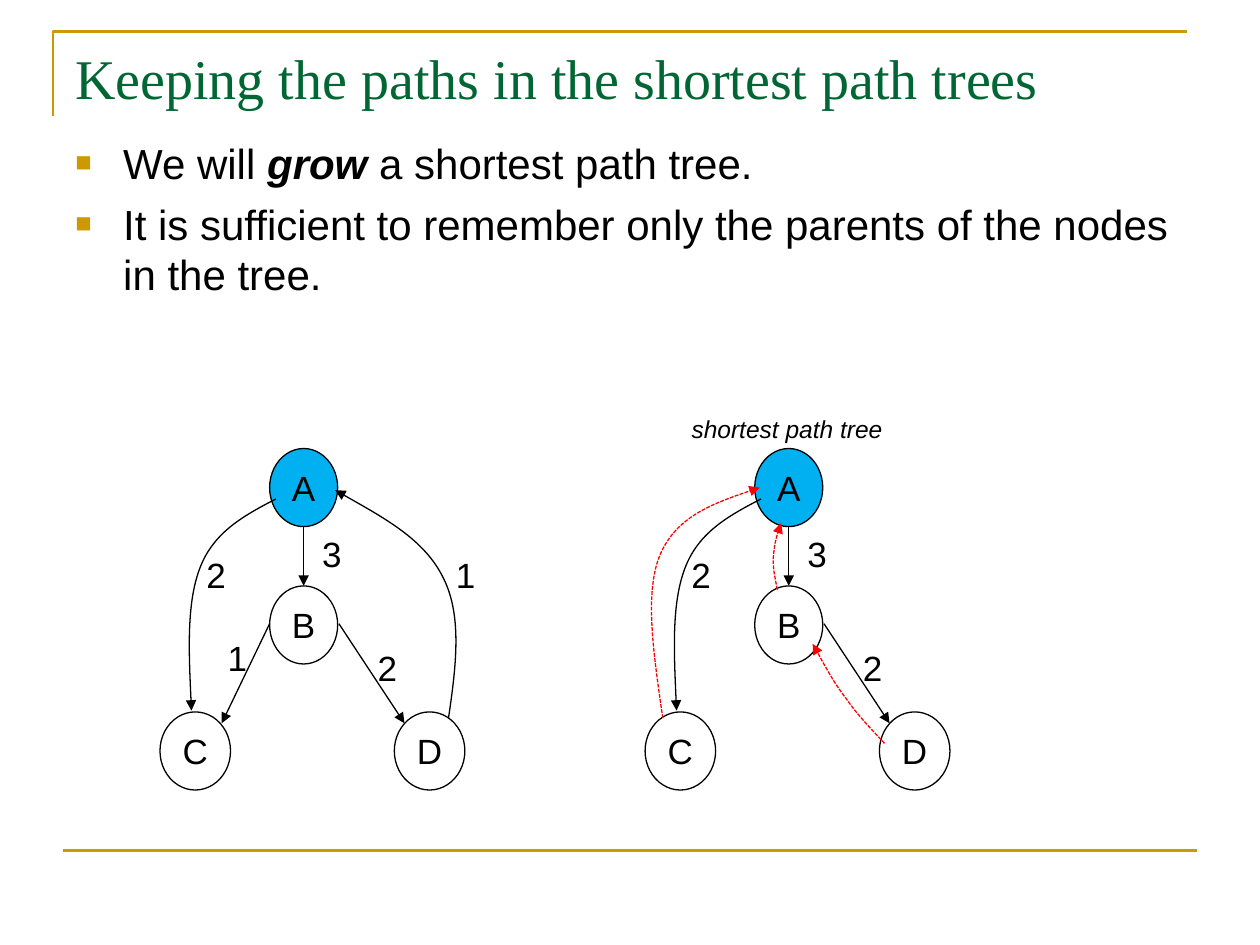
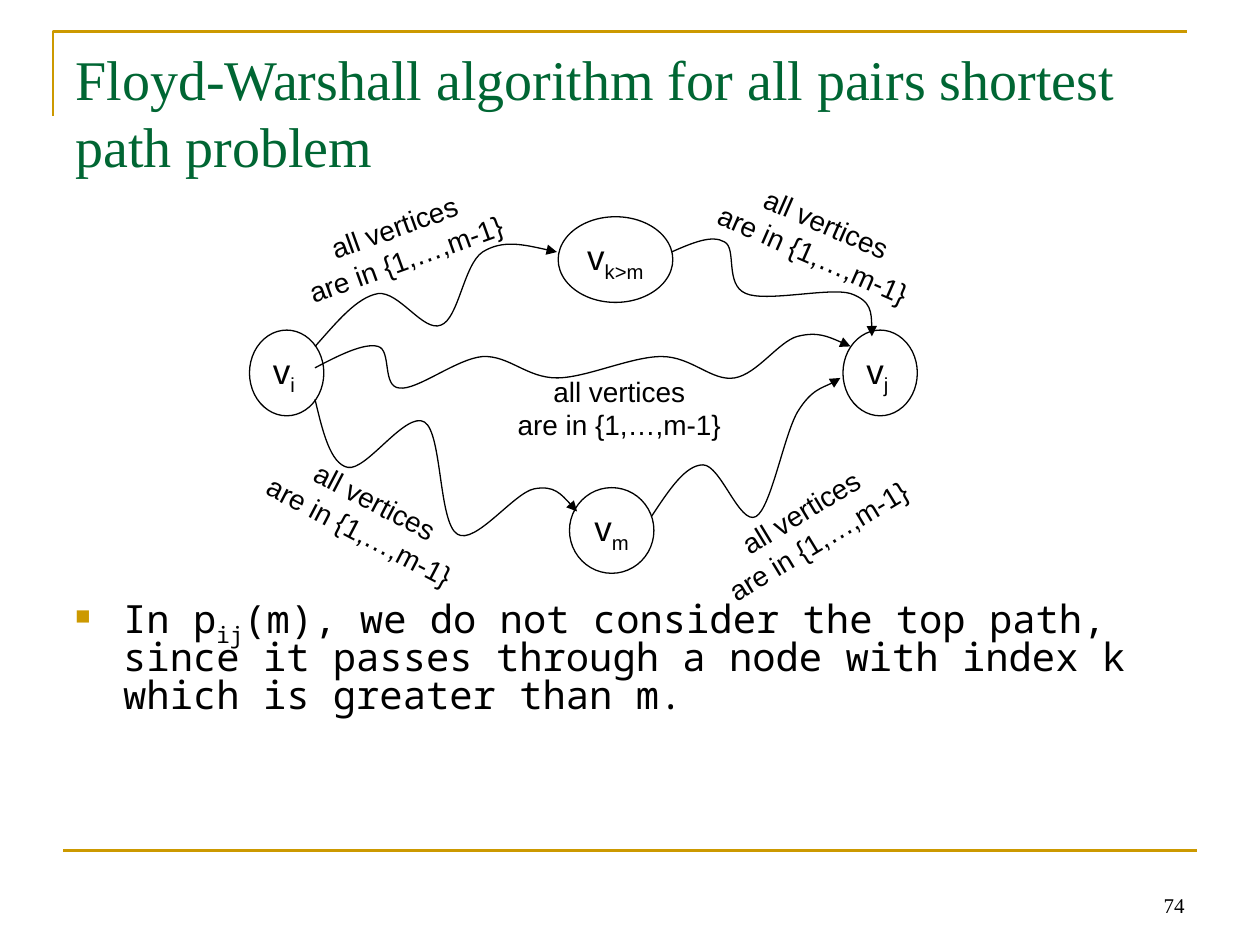
"""Build two slides on shortest path trees and the Floyd-Warshall algorithm."""
from dataclasses import dataclass
from typing import Optional

from lxml import etree
from pptx import Presentation
from pptx import util as u
from pptx.dml.color import RGBColor
from pptx.enum import dml, shapes, text
from pptx.oxml import ns

PX = 9144
GOLD = RGBColor(0xCC, 0x99, 0x00)
GREEN = RGBColor(0x00, 0x66, 0x33)
BLUE = RGBColor(0x00, 0xB0, 0xF0)
RED = RGBColor(0xFF, 0x00, 0x00)
BLACK = RGBColor(0x00, 0x00, 0x00)
WHITE = RGBColor(0xFF, 0xFF, 0xFF)
SANS, SERIF, MONO = "Arial", "Times New Roman", "Noto Sans Mono"
THIN, THICK = 0.75, 1.5
SHIFT = 385

Point = tuple[int, int]
Box = tuple[int, int, int, int]


@dataclass(frozen=True)
class Run:
    text: str
    bold: bool = False
    slant: bool = False
    sub: bool = False


@dataclass(frozen=True)
class Style:
    size: float
    font: str = SANS
    color: RGBColor = BLACK
    align: text.PP_ALIGN = text.PP_ALIGN.CENTER
    anchor: text.MSO_ANCHOR = text.MSO_ANCHOR.TOP
    wrap: bool = False
    lead: Optional[float] = None
    bullet: bool = False


@dataclass(frozen=True)
class Node:
    box: Box
    runs: list[Run]
    fill: Optional[RGBColor] = None


@dataclass(frozen=True)
class Label:
    box: Box
    lines: list[str]
    turn: float = 0


@dataclass(frozen=True)
class Curve:
    points: list[Point]
    color: RGBColor = BLACK
    dash: bool = False


LEFT = text.PP_ALIGN.LEFT
TITLE = Style(32, SERIF, GREEN, LEFT, wrap=True)
BODY = Style(24, align=LEFT, wrap=True, bullet=True)
CODE = Style(22.2, MONO, align=LEFT, wrap=True, lead=0.8, bullet=True)
NODE = Style(20, anchor=text.MSO_ANCHOR.MIDDLE)
COST = Style(20)
NOTE = Style(16)
HEAD = Style(14, align=LEFT)
PAGE = Style(12, SERIF, align=text.PP_ALIGN.RIGHT, anchor=text.MSO_ANCHOR.BOTTOM, wrap=True)

TREE = [
    Node((214, 356, 54, 62), [Run("A")], BLUE),
    Node((214, 465, 54, 62), [Run("B")]),
    Node((127, 565, 56, 62), [Run("C")]),
    Node((313, 565, 56, 62), [Run("D")]),
]
COSTS = [
    Label((246, 418, 35, 44), ["3"]),
    Label((154, 434, 35, 44), ["2"]),
    Label((290, 508, 35, 44), ["2"]),
]
MORE = [
    Label((171, 500, 35, 44), ["1"]),
    Label((352, 434, 35, 44), ["1"]),
]
DOWN = Curve([(219, 396), (194, 409), (170, 422), (159, 450), (148, 478), (150, 521), (152, 564)])
BACK = Curve([(356, 570), (362, 529), (367, 489), (352, 459), (337, 428), (301, 409), (266, 389)])
LINKS = [
    Curve([(526, 570), (519, 520), (511, 471), (524, 440), (537, 410), (570, 398), (603, 387)],
          RED, True),
    Curve([(617, 468), (615, 458), (613, 449), (614, 440), (615, 431), (617, 423), (620, 415)],
          RED, True),
    Curve([(702, 590), (692, 579), (681, 568), (672, 555), (662, 542), (654, 527), (645, 511)],
          RED, True),
]

VERTS = [
    Node((198, 262, 59, 68), [Run("v"), Run("i ", sub=True)]),
    Node((669, 262, 59, 68), [Run("v"), Run("j ", sub=True)]),
    Node((452, 387, 67, 68), [Run("v"), Run("m", sub=True)]),
    Node((443, 172, 91, 68), [Run("v"), Run("k>m", sub=True)]),
]
WAVES = [
    Curve([(250, 275), (267, 256), (283, 236), (300, 233), (317, 231), (336, 264), (350, 258),
           (364, 253), (368, 210), (383, 200), (399, 190), (420, 195), (442, 200)]),
    Curve([(250, 317), (256, 342), (262, 368), (276, 371), (291, 374), (322, 326), (337, 335),
           (351, 344), (348, 415), (363, 424), (377, 433), (408, 391), (424, 388),
           (440, 385), (449, 396), (458, 406)]),
    Curve([(533, 200), (549, 193), (565, 186), (575, 192), (585, 197), (575, 226), (592, 233),
           (608, 240), (658, 228), (675, 233), (692, 239), (692, 253), (692, 267)]),
    Curve([(517, 410), (531, 389), (544, 369), (558, 369), (572, 369), (587, 417), (600, 410),
           (612, 403), (622, 346), (633, 327), (644, 309), (661, 305), (667, 300)]),
    Curve([(250, 292), (269, 282), (289, 272), (300, 275), (311, 278), (303, 307), (317, 308),
           (331, 310), (362, 285), (383, 283), (404, 282), (418, 300), (442, 300),
           (465, 300), (501, 283), (525, 283), (549, 283), (565, 303), (583, 300),
           (601, 297), (618, 271), (633, 267), (649, 263), (662, 269), (675, 275)]),
]
RULE = ["all vertices", "are in {1,…,m-1}"]
SPOTS = [(201, 378, 27.5), (560, 158, 23.7), (227, 161, 340.1), (552, 386, 328.8), (401, 292, 0)]


def add_tag(parent, name: str, **attrs: str):
    """Append a drawing element to a parent."""
    return etree.SubElement(parent, ns.qn(name), attrs)


def move(box: Box, dx: int) -> Box:
    """Shift a box sideways."""
    return (box[0] + dx, *box[1:])


def scale(box: tuple[int, ...]) -> list[u.Emu]:
    """Turn px lengths into EMU."""
    return [u.Emu(n * PX) for n in box]


def add_mark(para) -> None:
    """Give a paragraph a gold square bullet."""
    prop = para._p.get_or_add_pPr()
    prop.set("marL", str(38 * PX))
    prop.set("indent", str(-38 * PX))
    add_tag(add_tag(prop, "a:buClr"), "a:srgbClr", val=str(GOLD))
    add_tag(prop, "a:buSzPct", val="65000")
    add_tag(prop, "a:buFont", typeface=SANS)
    add_tag(prop, "a:buChar", char="■")


def write(shape, paras: list[list[Run]], style: Style) -> None:
    """Fill a shape with styled paragraphs."""
    frame = shape.text_frame
    frame.word_wrap = style.wrap
    frame.vertical_anchor = style.anchor
    if not style.wrap:
        frame.auto_size = text.MSO_AUTO_SIZE.SHAPE_TO_FIT_TEXT
        if style.align == text.PP_ALIGN.CENTER:
            frame.margin_left = frame.margin_right = 0
    for num, runs in enumerate(paras):
        para = frame.add_paragraph() if num else frame.paragraphs[0]
        para.alignment = style.align
        if style.bullet:
            add_mark(para)
            if num:
                para.space_before = u.Pt(6)
        if style.lead:
            para.line_spacing = style.lead
        for item in runs:
            run = para.add_run()
            run.text = item.text
            font = run.font
            font.name, font.size = style.font, u.Pt(style.size)
            font.bold, font.italic = item.bold, item.slant
            font.color.rgb = style.color
            if item.sub:
                run._r.get_or_add_rPr().set("baseline", "-25000")


def add_text(slide, box: Box, paras: list[list[Run]], style: Style):
    """Place a text box."""
    shape = slide.shapes.add_textbox(*scale(box))
    write(shape, paras, style)
    return shape


def add_label(slide, label: Label, style: Style, dx: int = 0) -> None:
    """Place a label, turned if asked."""
    paras = [[Run(line)] for line in label.lines]
    add_text(slide, move(label.box, dx), paras, style).rotation = label.turn


def set_line(line, color: RGBColor, width: float, arrow: bool) -> None:
    """Style a line and its arrowhead."""
    line.color.rgb = color
    line.width = u.Pt(width)
    if arrow:
        add_tag(line._get_or_add_ln(), "a:tailEnd", type="triangle")


def add_node(slide, node: Node, dx: int = 0):
    """Draw a graph node."""
    shape = slide.shapes.add_shape(shapes.MSO_SHAPE.OVAL, *scale(move(node.box, dx)))
    shape.shadow.inherit = False
    if node.fill:
        shape.fill.solid()
        shape.fill.fore_color.rgb = node.fill
    else:
        shape.fill.background()
    set_line(shape.line, BLACK, THIN, False)
    write(shape, [node.runs], NODE)
    return shape


def add_line(slide, start: Point, end: Point, color: RGBColor = BLACK,
             width: float = THIN, arrow: bool = True):
    """Draw a straight connector."""
    line = slide.shapes.add_connector(shapes.MSO_CONNECTOR.STRAIGHT, *scale(start + end))
    set_line(line.line, color, width, arrow)
    add_tag(line._element.spPr, "a:effectLst")
    return line


def add_free(slide, points: list[Point]):
    """Draw an open unfilled outline through points."""
    pen = slide.shapes.build_freeform(*points[0], scale=float(PX))
    pen.add_line_segments(points[1:], close=False)
    shape = pen.convert_to_shape()
    shape.fill.background()
    shape.shadow.inherit = False
    return shape


def add_curve(slide, curve: Curve, dx: int = 0) -> None:
    """Draw a Bezier arrow, three points to a segment."""
    shape = add_free(slide, [(x + dx, y) for x, y in curve.points])
    route = shape._element.xpath(".//a:path")[0]
    steps = route.findall(ns.qn("a:lnTo"))
    for first in range(0, len(steps), 3):
        bend = add_tag(route, "a:cubicBezTo")
        for step in steps[first:first + 3]:
            bend.append(step[0])
            route.remove(step)
    if curve.dash:
        shape.line.dash_style = dml.MSO_LINE.SQUARE_DOT
    set_line(shape.line, curve.color, THIN, True)


def add_slide(deck, title: str, high: int):
    """Start a slide with the gold rules and a title."""
    slide = deck.slides.add_slide(deck.slide_layouts[6])
    slide.background.fill.solid()
    slide.background.fill.fore_color.rgb = WHITE
    band = add_free(slide, [(42, 92), (42, 25), (942, 25)])
    set_line(band.line, GOLD, THICK, False)
    add_line(slide, (50, 675), (950, 675), GOLD, THICK, False)
    add_text(slide, (50, 30, 900, high), [[Run(title)]], TITLE)
    return slide


def add_graph(slide, dx: int = 0) -> None:
    """Draw the nodes and edges that both graphs share."""
    nodes = [add_node(slide, node, dx) for node in TREE]
    stem = add_line(slide, (241 + dx, 418), (241 + dx, 465))
    stem.end_connect(nodes[1], 0)
    add_line(slide, (269 + dx, 495), (321 + dx, 574))
    for label in COSTS:
        add_label(slide, label, COST, dx)
    add_curve(slide, DOWN, dx)


def add_trees(deck) -> None:
    """Build the slide on shortest path trees."""
    slide = add_slide(deck, "Keeping the paths in the shortest path trees", 70)
    add_text(slide, (50, 104, 900, 495), [
        [Run("We will "), Run("grow ", True, True), Run("a shortest path tree.")],
        [Run("It is sufficient to remember only the parents of the nodes in the tree.")],
    ], BODY)
    add_graph(slide)
    add_line(slide, (214, 495), (176, 574))
    for label in MORE:
        add_label(slide, label, COST)
    add_curve(slide, BACK)
    add_graph(slide, SHIFT)
    add_text(slide, (539, 324, 177, 34), [[Run("shortest path tree", slant=True)]], HEAD)
    for link in LINKS:
        add_curve(slide, link)


def add_pairs(deck) -> None:
    """Build the slide on all pairs shortest paths."""
    slide = add_slide(deck, "Floyd-Warshall algorithm for all pairs shortest path problem", 125)
    add_text(slide, (717, 683, 233, 50), [[Run("74")]], PAGE)
    add_text(slide, (50, 471, 900, 153), [[
        Run("In p"), Run("ij", sub=True),
        Run("(m), we do not consider the top path, since it passes through "
            "a node with index k which is greater than m."),
    ]], CODE)
    for node in VERTS:
        add_node(slide, node)
    for wave in WAVES:
        add_curve(slide, wave)
    for left, top, turn in SPOTS:
        add_label(slide, Label((left, top, 181, 64), RULE, turn), NOTE)


def main() -> None:
    """Build and save the deck."""
    deck = Presentation()
    deck.slide_width, deck.slide_height = scale((1000, 750))
    add_trees(deck)
    add_pairs(deck)
    deck.save("out.pptx")


if __name__ == "__main__":
    main()
